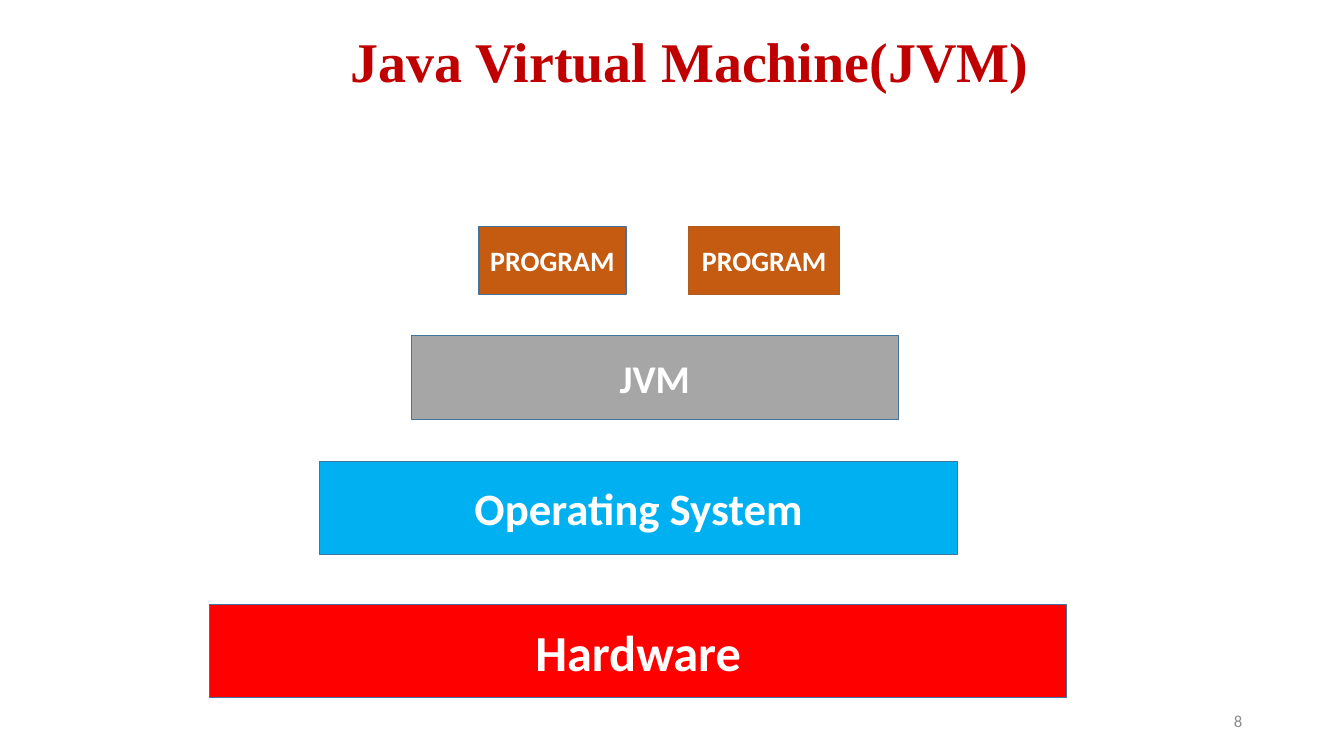
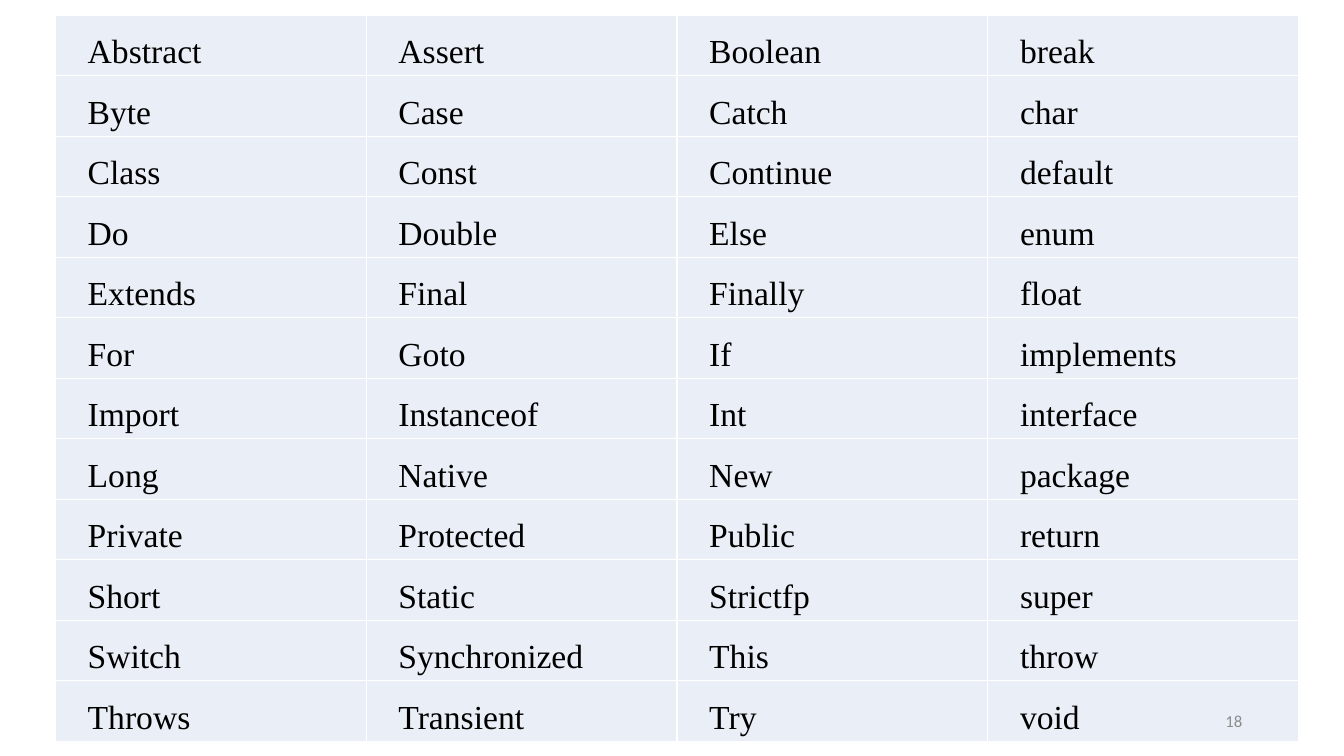
"""Build two Java slides: the JVM layers and the keyword table."""
import pptx
import pptx.util
import pptx.dml.color
import pptx.enum.shapes
import pptx.enum.text
import pptx.oxml
import pptx.oxml.ns

Inches, Pt = pptx.util.Inches, pptx.util.Pt
RGB = pptx.dml.color.RGBColor
ALIGN = pptx.enum.text.PP_ALIGN
MIDDLE = pptx.enum.text.MSO_ANCHOR.MIDDLE

BLACK, WHITE = RGB(0, 0, 0), RGB(255, 255, 255)
CRIMSON = RGB(0xC0, 0, 0)
MUTED = RGB(0x8C, 0x8C, 0x8C)
STEEL = RGB(0x43, 0x73, 0x9E)
RUST, BROWN = RGB(0xC5, 0x5A, 0x11), RGB(0xAF, 0x5C, 0x24)
GREY, SKY, RED = RGB(0xA6, 0xA6, 0xA6), RGB(0, 0xB0, 0xF0), RGB(255, 0, 0)
PALE = RGB(0xEA, 0xEF, 0xF7)
SERIF, SANS = "Times New Roman", "Calibri"

TITLE = "Java Virtual Machine(JVM)"
LAYERS = [
    ("PROGRAM", 20, RUST, STEEL, (4.75, 2.25, 1.46, 0.67)),
    ("PROGRAM", 20, RUST, BROWN, (6.83, 2.25, 1.5, 0.67)),
    ("JVM", 28, GREY, STEEL, (4.08, 3.33, 4.83, 0.83)),
    ("Operating System", 32, SKY, STEEL, (3.17, 4.58, 6.33, 0.92)),
    ("Hardware", 36, RED, STEEL, (2.08, 6, 8.5, 0.92)),
]
WORDS = [
    ("Abstract", "Assert", "Boolean", "break"),
    ("Byte", "Case", "Catch", "char"),
    ("Class", "Const", "Continue", "default"),
    ("Do", "Double", "Else", "enum"),
    ("Extends", "Final", "Finally", "float"),
    ("For", "Goto", "If", "implements"),
    ("Import", "Instanceof", "Int", "interface"),
    ("Long", "Native", "New", "package"),
    ("Private", "Protected", "Public", "return"),
    ("Short", "Static", "Strictfp", "super"),
    ("Switch", "Synchronized", "This", "throw"),
    ("Throws", "Transient", "Try", "void"),
]
TABLE = (0.55, 0.15, 12.33, 7.06)
NUMBER = (9.42, 6.95, 3, 0.4)


def box(sizes):
    return [Inches(size) for size in sizes]


def write(frame, text, size, face, color, align, bold=False):
    frame.text = text
    para = frame.paragraphs[0]
    para.alignment = align
    font = para.font
    font.size, font.name, font.bold = Pt(size), face, bold
    font.color.rgb = color
    return para


def add_title(slide, text):
    title = slide.shapes.title
    title.left, title.top, title.width, title.height = box((0.44, 0.2, 12.79, 0.88))
    frame = title.text_frame
    frame.vertical_anchor = MIDDLE
    para = write(frame, text, 40, SERIF, CRIMSON, ALIGN.CENTER, True)
    para.line_spacing = 0.9


def add_number(slide, number):
    frame = slide.shapes.add_textbox(*box(NUMBER)).text_frame
    frame.word_wrap = True
    frame.vertical_anchor = MIDDLE
    write(frame, str(number), 12, SANS, MUTED, ALIGN.RIGHT)


def add_layer(slide, text, size, fill, line, place):
    kind = pptx.enum.shapes.MSO_SHAPE.RECTANGLE
    shape = slide.shapes.add_shape(kind, *box(place))
    shape.shadow.inherit = False
    shape.fill.solid()
    shape.fill.fore_color.rgb = fill
    shape.line.color.rgb = line
    shape.line.width = Pt(1)
    shape.text_frame.vertical_anchor = MIDDLE
    write(shape.text_frame, text, size, SANS, WHITE, ALIGN.CENTER, True)


def add_edges(cell):
    props = cell._tc.get_or_add_tcPr()
    for side in ("lnL", "lnR", "lnT", "lnB"):
        props.append(pptx.oxml.parse_xml(
            f'<a:{side} {pptx.oxml.ns.nsdecls("a")} w="{Pt(1)}">'
            f'<a:solidFill><a:srgbClr val="{WHITE}"/></a:solidFill></a:{side}>'))


def fill_cell(cell, word):
    add_edges(cell)
    cell.fill.solid()
    cell.fill.fore_color.rgb = PALE
    cell.margin_left = cell.margin_right = Inches(0.07)
    cell.margin_top = cell.margin_bottom = 0
    para = write(cell.text_frame, word, 24, SERIF, BLACK, ALIGN.LEFT)
    para.line_spacing = 1.5
    para.space_after = Pt(10)
    props = para._p.get_or_add_pPr()
    props.set("marL", str(Inches(0.25)))
    props.set("indent", "0")


def add_words(slide):
    rows, cols = len(WORDS), len(WORDS[0])
    table = slide.shapes.add_table(rows, cols, *box(TABLE)).table
    table.first_row = table.horz_banding = False
    for col in table.columns:
        col.width = Inches(TABLE[2] / cols)
    for r, words in enumerate(WORDS):
        table.rows[r].height = Inches(TABLE[3] / rows)
        for c, word in enumerate(words):
            fill_cell(table.cell(r, c), word)


def main():
    deck = pptx.Presentation()
    deck.slide_width, deck.slide_height = box((13.33, 7.5))

    slide = deck.slides.add_slide(deck.slide_layouts[5])
    add_title(slide, TITLE)
    add_number(slide, 8)
    for layer in LAYERS:
        add_layer(slide, *layer)

    slide = deck.slides.add_slide(deck.slide_layouts[6])
    add_words(slide)
    add_number(slide, 18)

    deck.save("out.pptx")


if __name__ == "__main__":
    main()
